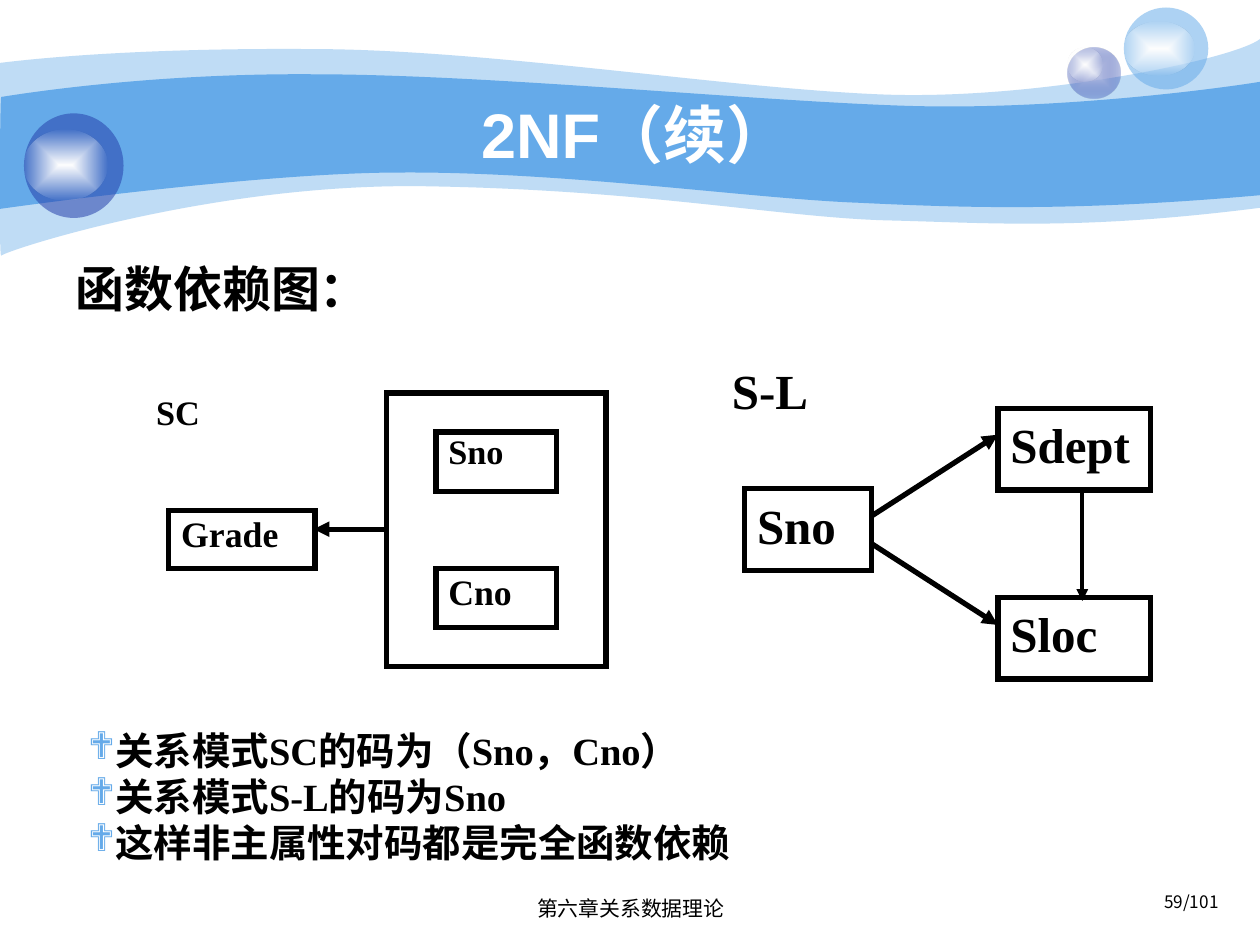
from lxml.etree import SubElement
from pptx import Presentation
from pptx.dml.color import RGBColor
from pptx.enum.shapes import MSO_CONNECTOR, MSO_SHAPE
from pptx.enum.text import MSO_ANCHOR as ANCHOR, MSO_AUTO_SIZE as AUTO_SIZE, PP_ALIGN as ALIGN
from pptx.oxml.ns import qn
from pptx.util import Inches, Pt

BLACK = RGBColor(0x00, 0x00, 0x00)
WHITE = RGBColor(0xFF, 0xFF, 0xFF)
SKY = RGBColor(0x65, 0xAA, 0xE9)
NAVY = RGBColor(0x23, 0x3D, 0xA9)
LILAC = RGBColor(0xC7, 0xCE, 0xE9)
SERIF = "Times New Roman"

presentation = Presentation()
presentation.slide_width = Inches(10)
presentation.slide_height = Inches(7.5)
CELL = presentation.slide_width // 100
slide = presentation.slides.add_slide(presentation.slide_layouts[5])
shapes = slide.shapes


def paint(shape, *stops):
    shape.shadow.inherit = False
    shape.line.fill.background()
    properties = shape._element.spPr
    if len(stops) == 1:
        shape.fill.solid()
        shape.fill.fore_color.rgb = stops[0][0]
    else:
        shape.fill.gradient()
        for stop, (color, _) in zip(shape.fill.gradient_stops, stops):
            stop.color.rgb = color
        gradient = properties.find(qn("a:gradFill"))
        gradient.remove(gradient.find(qn("a:lin")))
        shading = SubElement(gradient, qn("a:path"), path="rect")
        SubElement(shading, qn("a:fillToRect"), l="50000", t="50000", r="50000", b="50000")
    for element, (_, opacity) in zip(properties.iter(qn("a:srgbClr")), stops):
        SubElement(element, qn("a:alpha"), val=str(opacity * 1000))


def write(shape, lines, size, font=SERIF, bold=True, align=ALIGN.LEFT,
          anchor=ANCHOR.TOP, spacing=None, bullet=None):
    frame = shape.text_frame
    frame.word_wrap = bullet is None
    frame.vertical_anchor = anchor
    frame.text = "\n".join(lines)
    if bullet:
        frame.auto_size = AUTO_SIZE.SHAPE_TO_FIT_TEXT
    for paragraph in frame.paragraphs:
        if bullet:
            properties = paragraph._p.get_or_add_pPr()
            color = SubElement(properties, qn("a:buClr"))
            SubElement(color, qn("a:srgbClr"), val=str(SKY))
            SubElement(properties, qn("a:buFont"), typeface="Wingdings", charset="2")
            SubElement(properties, qn("a:buChar"), char=bullet)
        paragraph.alignment = align
        paragraph.line_spacing = spacing
        paragraph.font.name = font
        paragraph.font.size = Pt(size)
        paragraph.font.bold = bold
        paragraph.font.color.rgb = BLACK


outer_wave = (
    [(0, 5), (2.4, 4.7), (10.7, 3.8), (24.7, 3.9), (38.6, 3.9), (57.5, 7), (69.9, 7.5),
     (82.2, 8), (98, 4.7), (100, 3.1)],
    [(100, 16.5), (85.8, 18.3), (78.7, 17.7), (70.5, 17.5), (62.2, 17.3), (51.5, 15.1),
     (34.3, 14.8), (17.2, 14.4), (0.4, 19.9), (0.1, 20.3), (-0.1, 20.8), (0, 7.5), (0, 5)],
)
inner_wave = (
    [(0.1, 7.7), (0.2, 7.7), (11, 5.8), (24.8, 5.9), (38.6, 5.9), (59.5, 8), (71.8, 8.4),
     (84.1, 8.8), (97.6, 6.9), (100, 6.5)],
    [(100, 15.5), (85.3, 16.8), (76.5, 16.5), (68.2, 16.1), (59.9, 15.8), (44.7, 13.6),
     (31.7, 13.7), (20.3, 13.7), (-0.2, 16.6), (-0.1, 16.6), (0, 16.6), (0, 7.7), (0.1, 7.7)],
)
for (upper, lower), opacity in ((outer_wave, 41), (inner_wave, 100)):
    points = [(x * CELL, y * CELL) for x, y in upper + lower]
    builder = shapes.build_freeform(*points[0])
    builder.add_line_segments(points[1:], close=True)
    wave = builder.convert_to_shape()
    segments = list(wave._element.spPr.iter(qn("a:lnTo")))
    corner = len(upper) - 1
    for run in (segments[:corner], segments[corner + 1:]):
        for first, second, third in zip(run[::3], run[1::3], run[2::3]):
            first.tag = qn("a:cubicBezTo")
            for segment in (second, third):
                first.append(segment[0])
                segment.getparent().remove(segment)
    paint(wave, (SKY, opacity))

glow = [(WHITE, 100), (WHITE, 0)]
bubbles = [
    ((84.7, 3.8, 4.2, 4), [(LILAC, 100), (NAVY, 31)]),
    ((84.7, 3.8, 2.8, 2.7), glow),
    ((89.2, 0.6, 6.7, 6.5), [(SKY, 53)]),
    ((89.2, 1.7, 5.6, 4.3), glow),
    ((1.9, 9, 7.9, 8.3), [(NAVY, 53)]),
    ((1.9, 10.3, 6.6, 5.6), glow),
]
for area, stops in bubbles:
    paint(shapes.add_shape(MSO_SHAPE.OVAL, *[round(n * CELL) for n in area]), *stops)

title = shapes.title
shapes._spTree.append(title._element)
title.left, title.top, title.width, title.height = [round(n * CELL) for n in (10, 7.5, 80.8, 6.2)]
write(title, ["2NF（续）"], 36, "Arial", align=ALIGN.CENTER, anchor=ANCHOR.MIDDLE)
title.text_frame.paragraphs[0].font.color.rgb = WHITE

labels = [
    ((74.4, 70.6, 23.3, 2.9), ["59/101"], 9.8,
     dict(font="Noto Sans CJK SC", bold=False, align=ALIGN.RIGHT, spacing=0.8)),
    ((34.2, 70.6, 31.7, 3.2), ["第六章关系数据理论"], 11.9,
     dict(font="Arial", bold=False, align=ALIGN.CENTER)),
    ((5, 20, 90, 49.2), ["函数依赖图："], 28, dict(font="Arial")),
    ((11.4, 31.2, 9.7, 4.6), ["SC"], 19.6, dict(spacing=0.8)),
    ((57.1, 28.1, 12.1, 6.5), ["S-L"], 28, {}),
    ((6, 57.2, 54.1, 12),
     ["关系模式SC的码为（Sno，Cno）", "关系模式S-L的码为Sno", "这样非主属性对码都是完全函数依赖"],
     22, dict(anchor=ANCHOR.MIDDLE, bullet="❖")),
]
for area, lines, size, style in labels:
    write(shapes.add_textbox(*[round(n * CELL) for n in area]), lines, size, **style)

attributes = [
    ((30.7, 31.2, 17.4, 21.7), "", 28, None),
    ((34.6, 34.3, 9.6, 4.7), "Sno", 19.6, 0.8),
    ((34.6, 45.1, 9.6, 4.7), "Cno", 20.4, 0.9),
    ((13.4, 40.5, 11.6, 4.6), "Grade", 20.4, 0.9),
    ((59.1, 38.8, 10.1, 6.5), "Sno", 28, None),
    ((79.2, 32.4, 12.1, 6.5), "Sdept", 28, None),
    ((79.2, 47.4, 12.1, 6.5), "Sloc", 28, None),
]
for area, name, size, spacing in attributes:
    box = shapes.add_shape(MSO_SHAPE.RECTANGLE, *[round(n * CELL) for n in area])
    box.shadow.inherit = False
    box.fill.background()
    box.line.color.rgb = BLACK
    box.line.width = Pt(3)
    SubElement(box.line._get_or_add_ln(), qn("a:miter"), lim="800000")
    if name:
        write(box, [name], size, spacing=spacing)

dependencies = [
    ((30.7, 42, 24.9, 42), 3),
    ((69.1, 41, 79.2, 34.5), 3),
    ((69.1, 43.1, 79.2, 49.6), 3),
    ((85.9, 39.1, 85.9, 47.7), 2.25),
]
for ends, width in dependencies:
    arrow = shapes.add_connector(MSO_CONNECTOR.STRAIGHT, *[round(n * CELL) for n in ends])
    arrow.line.color.rgb = BLACK
    arrow.line.width = Pt(width)
    SubElement(arrow.line._get_or_add_ln(), qn("a:tailEnd"), type="triangle")
    SubElement(arrow._element.spPr, qn("a:effectLst"))

presentation.save("out.pptx")
